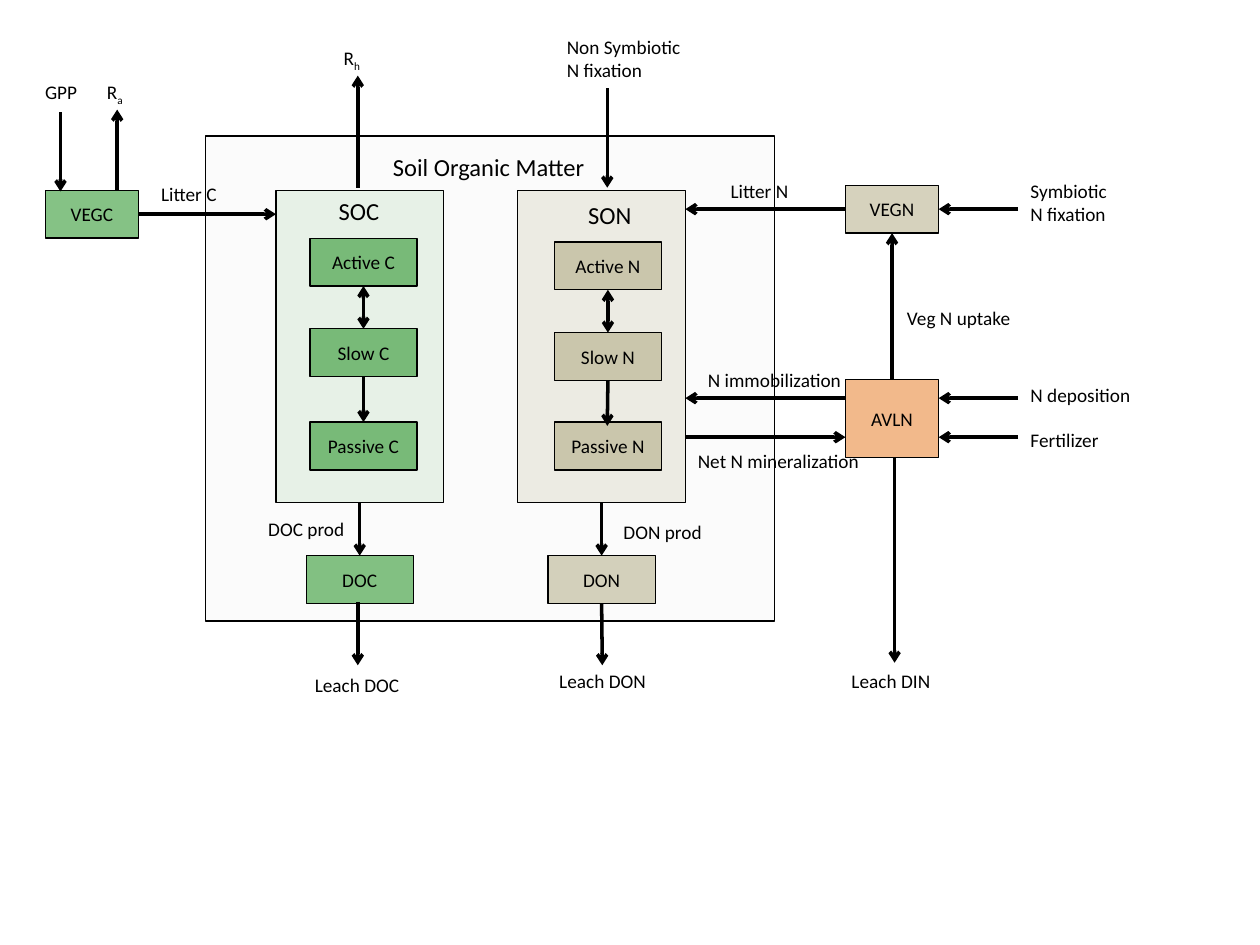
from dataclasses import dataclass
from typing import Optional

import lxml.etree
import pptx
import pptx.dml.color
import pptx.enum.shapes
import pptx.enum.text
import pptx.oxml.ns
import pptx.util
from pptx.util import Inches

FONT = "Calibri"
COLORS = {
    "ink": "000000",
    "soil": "D9D9D9",
    "carbon": "008000",
    "nitrogen": "948A54",
    "available": "E46C0A",
}
TOP, LEFT, BOTTOM, RIGHT = range(4)


@dataclass
class Box:
    key: str
    left: float
    top: float
    width: float
    height: float
    color: str
    opacity: int  # percent
    text: str = ""


@dataclass
class Label:
    text: str
    left: float
    top: float
    width: float
    height: float = 0.29
    size: int = 11
    subscript: str = ""
    wrap: bool = False


@dataclass
class Arrow:
    start: tuple[float, float]
    end: tuple[float, float]
    start_joint: Optional[tuple[str, int]] = None
    end_joint: Optional[tuple[str, int]] = None
    both_ways: bool = False


def rgb(name: str) -> pptx.dml.color.RGBColor:
    return pptx.dml.color.RGBColor.from_string(COLORS[name])


def format_run(run, size: int) -> None:
    run.font.name = FONT
    run.font.size = pptx.util.Pt(size)
    run.font.color.rgb = rgb("ink")


def draw_box(slide, box: Box):
    shape = slide.shapes.add_shape(
        pptx.enum.shapes.MSO_SHAPE.RECTANGLE,
        Inches(box.left), Inches(box.top), Inches(box.width), Inches(box.height))
    shape.shadow.inherit = False
    shape.fill.solid()
    shape.fill.fore_color.rgb = rgb(box.color)
    color = shape.fill._xPr.find(".//" + pptx.oxml.ns.qn("a:srgbClr"))
    alpha = lxml.etree.SubElement(color, pptx.oxml.ns.qn("a:alpha"))
    alpha.set("val", str(box.opacity * 1000))
    shape.line.color.rgb = rgb("ink")
    shape.line.width = pptx.util.Pt(0.75)
    if box.text:
        shape.text_frame.text = box.text
        shape.text_frame.vertical_anchor = pptx.enum.text.MSO_ANCHOR.MIDDLE
        paragraph = shape.text_frame.paragraphs[0]
        paragraph.alignment = pptx.enum.text.PP_ALIGN.CENTER
        format_run(paragraph.runs[0], 11)
    return shape


def draw_label(slide, label: Label) -> None:
    shape = slide.shapes.add_textbox(
        Inches(label.left), Inches(label.top), Inches(label.width), Inches(label.height))
    text_frame = shape.text_frame
    text_frame.text = label.text
    text_frame.word_wrap = label.wrap
    text_frame.auto_size = pptx.enum.text.MSO_AUTO_SIZE.SHAPE_TO_FIT_TEXT
    paragraph = text_frame.paragraphs[0]
    if label.subscript:
        run = paragraph.add_run()
        run.text = label.subscript
        run._r.get_or_add_rPr().set("baseline", "-25000")
    for run in paragraph.runs:
        format_run(run, label.size)


def draw_arrow(slide, arrow: Arrow, shapes: dict) -> None:
    connector = slide.shapes.add_connector(
        pptx.enum.shapes.MSO_CONNECTOR.STRAIGHT,
        *(Inches(value) for value in arrow.start + arrow.end))
    if arrow.start_joint:
        key, side = arrow.start_joint
        connector.begin_connect(shapes[key], side)
    if arrow.end_joint:
        key, side = arrow.end_joint
        connector.end_connect(shapes[key], side)
    connector.line.color.rgb = rgb("ink")
    connector.line.width = pptx.util.Pt(2)
    line = connector.line._get_or_add_ln()
    for tag in ("a:headEnd", "a:tailEnd") if arrow.both_ways else ("a:tailEnd",):
        lxml.etree.SubElement(line, pptx.oxml.ns.qn(tag)).set("type", "arrow")
    lxml.etree.SubElement(connector._element.spPr, pptx.oxml.ns.qn("a:effectLst"))


def pool(text: str, left: float, top: float, color: str, width: float = 0.85) -> Box:
    opacity = {"carbon": 48, "nitrogen": 38}[color]
    return Box(text, left, top, width, 0.38, color, opacity, text)


BOXES = [
    # Soil background and the two organic matter panels
    Box("Soil", 1.63, 1.08, 4.52, 3.85, "soil", 9),
    Box("SON", 4.11, 1.51, 1.33, 2.48, "nitrogen", 14),
    Box("SOC", 2.19, 1.51, 1.33, 2.48, "carbon", 8),
    # Vegetation and available nitrogen
    pool("VEGC", 0.36, 1.51, "carbon", 0.74),
    pool("VEGN", 6.71, 1.47, "nitrogen", 0.74),
    Box("AVLN", 6.71, 3.01, 0.74, 0.62, "available", 47, "AVLN"),
    # Pools inside the panels, then the dissolved pools
    *(pool(f"{speed} {element}", left, top, color)
      for element, left, color, tops in (
          ("C", 2.46, "carbon", (1.89, 2.61, 3.35)),
          ("N", 4.4, "nitrogen", (1.92, 2.64, 3.35)))
      for speed, top in zip(("Active", "Slow", "Passive"), tops)),
    pool("DOC", 2.43, 4.41, "carbon"),
    pool("DON", 4.35, 4.41, "nitrogen"),
]

LABELS = [
    # Headings
    Label("Soil Organic Matter", 3.02, 1.16, 2.1, 0.34, 14, wrap=True),
    Label("SOC", 2.59, 1.51, 0.53, 0.34, 14),
    Label("SON", 4.57, 1.54, 0.55, 0.34, 14),
    # Carbon flows
    Label("GPP", 0.26, 0.59, 0.46),
    Label("R", 0.75, 0.59, 0.33, subscript="a"),
    Label("R", 2.63, 0.32, 0.34, subscript="h"),
    Label("Litter C", 1.18, 1.4, 0.65),
    Label("DOC prod", 2.03, 4.06, 0.81),
    Label("Leach DOC", 2.4, 5.29, 0.88),
    # Nitrogen flows
    Label("Non Symbiotic N fixation", 4.4, 0.23, 1.12, 0.47, wrap=True),
    Label("Symbiotic N fixation", 8.08, 1.37, 0.86, 0.47, wrap=True),
    Label("Litter N", 5.7, 1.37, 0.67),
    Label("Veg N uptake", 7.1, 2.38, 1.06),
    Label("N immobilization", 5.52, 2.87, 1.27),
    Label("Net N mineralization", 5.44, 3.52, 1.5),
    Label("N deposition", 8.08, 2.99, 1),
    Label("Fertilizer", 8.08, 3.35, 0.75),
    Label("DON prod", 4.85, 4.08, 0.83),
    Label("Leach DON", 4.34, 5.26, 0.9),
    Label("Leach DIN", 6.66, 5.26, 0.83),
]

ARROWS = [
    # Carbon flows
    Arrow((0.48, 0.89), (0.48, 1.52)),
    Arrow((0.93, 1.51), (0.93, 0.87)),
    Arrow((1.1, 1.7), (2.19, 1.7), ("VEGC", RIGHT)),
    Arrow((2.84, 1.49), (2.84, 0.6)),
    Arrow((2.89, 2.27), (2.89, 2.61), ("Active C", BOTTOM), ("Slow C", TOP), True),
    Arrow((2.89, 2.99), (2.89, 3.35), ("Slow C", BOTTOM), ("Passive C", TOP)),
    Arrow((2.86, 3.99), (2.86, 4.41), ("SOC", BOTTOM), ("DOC", TOP)),
    Arrow((2.84, 4.78), (2.84, 5.28)),
    # Nitrogen flows in the soil
    Arrow((4.82, 0.7), (4.82, 1.49)),
    Arrow((4.82, 2.3), (4.82, 2.64), ("Active N", BOTTOM), ("Slow N", TOP), True),
    Arrow((4.82, 3.02), (4.82, 3.38), ("Slow N", BOTTOM)),
    Arrow((4.78, 3.99), (4.78, 4.41), ("SON", BOTTOM), ("DON", TOP)),
    Arrow((4.78, 4.79), (4.78, 5.28), ("DON", BOTTOM)),
    # Nitrogen flows around vegetation and available nitrogen
    Arrow((6.71, 1.66), (5.44, 1.66), ("VEGN", LEFT)),
    Arrow((8.08, 1.66), (7.45, 1.66), None, ("VEGN", RIGHT)),
    Arrow((7.08, 3.01), (7.08, 1.85), ("AVLN", TOP), ("VEGN", BOTTOM)),
    Arrow((6.71, 3.16), (5.44, 3.16)),
    Arrow((5.44, 3.47), (6.71, 3.47)),
    Arrow((8.08, 3.16), (7.45, 3.16)),
    Arrow((8.08, 3.47), (7.45, 3.47)),
    Arrow((7.1, 3.63), (7.1, 5.26)),
]


def main() -> None:
    presentation = pptx.Presentation()
    presentation.slide_width = Inches(10)
    presentation.slide_height = Inches(7.5)
    slide = presentation.slides.add_slide(presentation.slide_layouts[6])
    shapes = {box.key: draw_box(slide, box) for box in BOXES}
    for arrow in ARROWS:
        draw_arrow(slide, arrow, shapes)
    for label in LABELS:
        draw_label(slide, label)
    presentation.save("out.pptx")


if __name__ == "__main__":
    main()
